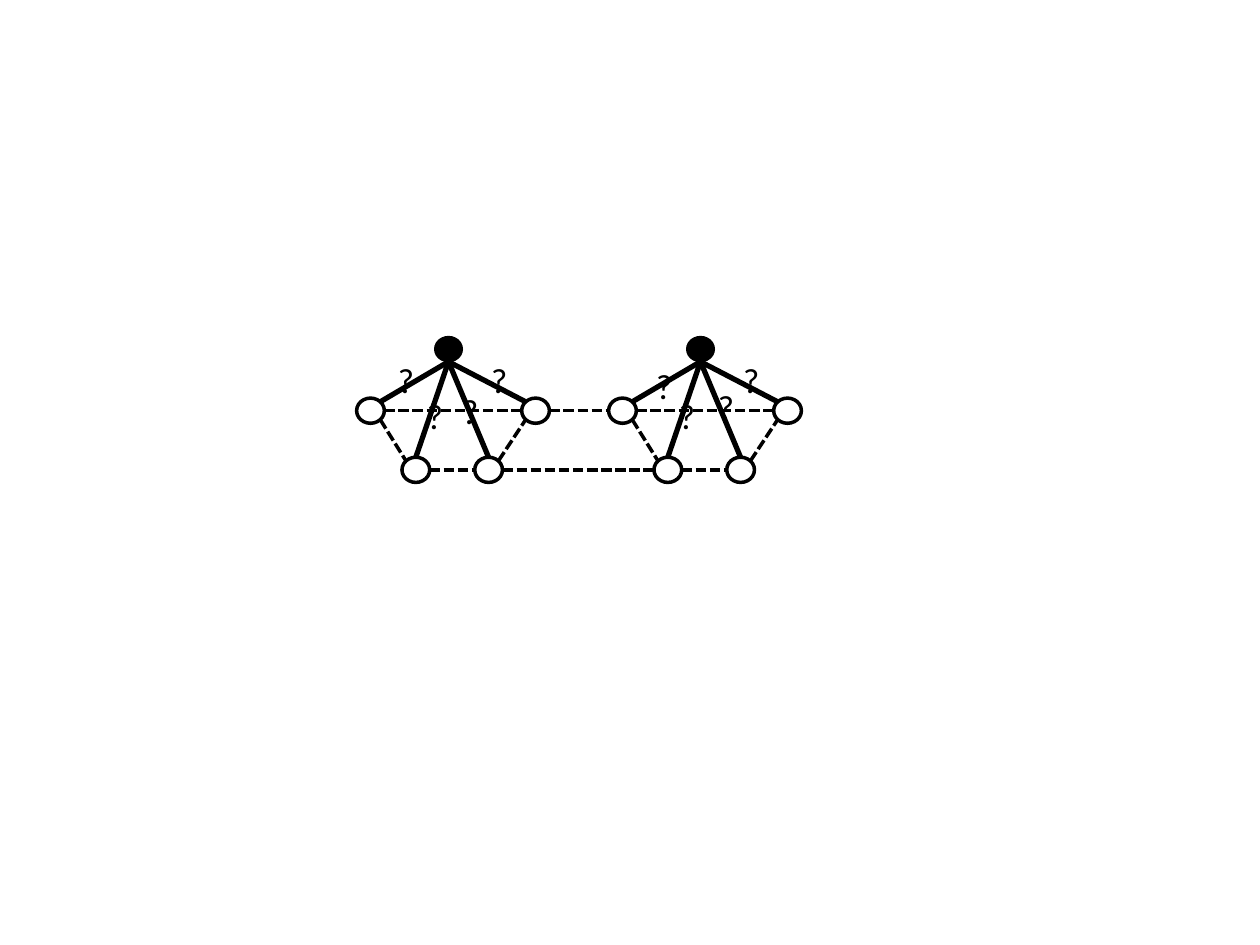
from math import cos, radians, sin

from lxml.etree import SubElement
from pptx import Presentation
from pptx.dml.color import RGBColor
from pptx.enum.dml import MSO_LINE
from pptx.enum.shapes import MSO_CONNECTOR, MSO_SHAPE
from pptx.enum.text import MSO_AUTO_SIZE
from pptx.oxml.ns import qn
from pptx.util import Pt

BLACK = RGBColor(0, 0, 0)
FONT = "Calibri"
NODE_W, NODE_H = 15.84, 14.4
LABEL_W, LABEL_H = 23.76, 31.68
CLUSTER_STEP = 144

# Node centres of the first cluster
NODES = {
    "apex": (256.3, 199.5),
    "bottom_right": (279.2, 268.5),
    "bottom_left": (237.6, 268.5),
    "left": (211.7, 234.7),
    "right": (306, 234.7),
}

# Compass angles on a node's rim, clockwise from the right
E, SE, S, SW, W, NW, N, NE = range(0, 360, 45)

# Edges: start node, start angle, end node, end angle
SPOKES = [
    ("apex", S, "left", NE),
    ("apex", S, "bottom_left", N),
    ("apex", S, "bottom_right", N),
    ("apex", S, "right", NW),
]
RIM = [
    ("bottom_right", NE, "right", SW),
    ("bottom_left", E, "bottom_right", W),
    ("left", E, "right", W),
    ("left", SE, "bottom_left", NW),
]
BRIDGES = [("right", "left"), ("bottom_right", "bottom_left")]

# Top left corners of the question marks in each cluster
LABELS = [
    [(273.6, 201.6), (257, 218.9), (236.9, 221.8), (220.3, 201.6)],
    [(417.6, 201.6), (403.2, 216.7), (380.9, 221.8), (367.9, 204.5)],
]


def rim_point(node, angle, dx):
    x, y = NODES[node]
    a = radians(angle)
    return x + dx + NODE_W / 2 * cos(a), y + NODE_H / 2 * sin(a)


def add_node(shapes, name, dx):
    x, y = NODES[name]
    sp = shapes.add_shape(MSO_SHAPE.OVAL, Pt(x + dx - NODE_W / 2),
                          Pt(y - NODE_H / 2), Pt(NODE_W), Pt(NODE_H))
    sp.shadow.inherit = False
    sp.line.color.rgb = BLACK
    if name == "apex":
        sp.fill.solid()
        sp.fill.fore_color.rgb = BLACK
        sp.line.width = Pt(0.75)
    else:
        sp.fill.background()
        sp.line.width = Pt(2)


def add_edge(shapes, start, end, dashed):
    line = shapes.add_connector(MSO_CONNECTOR.STRAIGHT,
                                *(Pt(v) for v in (*start, *end)))
    line.line.color.rgb = BLACK
    line.line.width = Pt(2 if dashed else 3)
    if dashed:
        line.line.dash_style = MSO_LINE.SQUARE_DOT
    SubElement(line._element.spPr, qn("a:effectLst"))


def add_cluster(shapes, dx):
    for name in NODES:
        add_node(shapes, name, dx)
    for edges, dashed in ((SPOKES, False), (RIM, True)):
        for a, a_angle, b, b_angle in edges:
            add_edge(shapes, rim_point(a, a_angle, dx),
                     rim_point(b, b_angle, dx), dashed)


def add_label(shapes, x, y):
    sp = shapes.add_textbox(Pt(x), Pt(y), Pt(LABEL_W), Pt(LABEL_H))
    tf = sp.text_frame
    tf.word_wrap = False
    tf.auto_size = MSO_AUTO_SIZE.SHAPE_TO_FIT_TEXT
    p = tf.paragraphs[0]
    p.text = "?"
    p.font.size = Pt(20)
    p.font.name = FONT
    p.font.color.rgb = BLACK


def main():
    prs = Presentation()
    prs.slide_width, prs.slide_height = Pt(720), Pt(540)
    s = prs.slides.add_slide(prs.slide_layouts[6])
    shapes = s.shapes.add_group_shape().shapes

    # Two identical clusters
    for i in range(2):
        add_cluster(shapes, i * CLUSTER_STEP)

    # Dashed links between the clusters
    for a, b in BRIDGES:
        add_edge(shapes, rim_point(a, E, 0),
                 rim_point(b, W, CLUSTER_STEP), True)

    # Question marks on the spokes
    for cluster in reversed(LABELS):
        for x, y in cluster:
            add_label(shapes, x, y)

    prs.save("out.pptx")


main()
